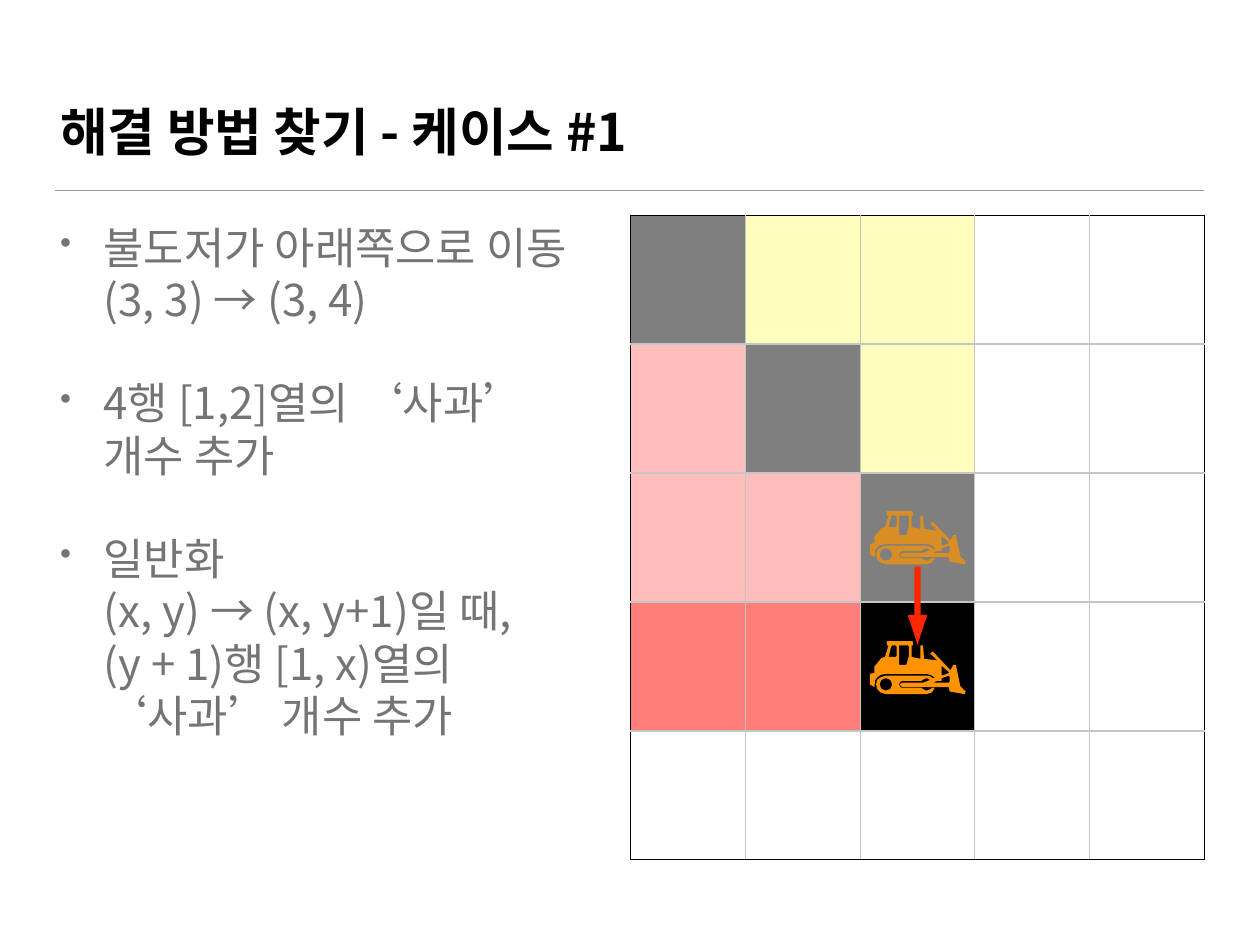
from math import cos, pi, sin
from lxml.etree import SubElement
from pptx import Presentation
from pptx.dml.color import RGBColor
from pptx.enum.shapes import MSO_CONNECTOR, MSO_SHAPE
from pptx.enum.text import MSO_ANCHOR
from pptx.oxml.ns import qn
from pptx.util import Inches, Pt

FONT = "Noto Sans CJK KR"
BLACK = RGBColor(0x00, 0x00, 0x00)
GRAY = RGBColor(0x74, 0x74, 0x74)
RULE = RGBColor(0x9A, 0x9A, 0x9A)
GRID = RGBColor(0xC4, 0xC6, 0xC6)
YELLOW = RGBColor(0xFF, 0xFC, 0x79)
PINK = RGBColor(0xFF, 0x7E, 0x79)
ORANGE = RGBColor(0xFF, 0x93, 0x00)
RED = RGBColor(0xFF, 0x26, 0x00)

TITLE = "해결 방법 찾기 - 케이스 #1"
STEPS = [
    "불도저가 아래쪽으로 이동\v(3, 3) → (3, 4)",
    "4행 [1,2]열의 ‘사과’\v개수 추가",
    "일반화\v(x, y) → (x, y+1)일 때,\v(y + 1)행 [1, x)열의\v‘사과’ 개수 추가",
]

SIZE = 5
FILLS = {"K": (BLACK, 50), "Y": (YELLOW, 50), "P": (PINK, 50),
         "p": (PINK, 100), "k": (BLACK, 100)}
FIELD = ["KYY..", "PKY..", "PPK..", "ppk..", "....."]

# Bulldozer contours, in hundredths of an inch
BODY = [
    (19, 0), (19, 5), (21, 5), (17, 18), (13, 19), (5, 29), (5, 36), (0, 37),
    (0, 49), (5, 52), (6, 44), (9, 40), (13, 38), (18, 37), (64, 37), (70, 39),
    (74, 42), (71, 42), (68, 40), (64, 39), (18, 39), (12, 41), (8, 44), (7, 49),
    (8, 54), (12, 58), (18, 60), (64, 60), (70, 58), (73, 53), (70, 53), (67, 55),
    (64, 56), (61, 55), (58, 53), (37, 53), (34, 52), (33, 49), (34, 46), (37, 45),
    (58, 45), (61, 43), (64, 42), (68, 44), (60, 47), (37, 47), (35, 48), (34, 49),
    (35, 51), (37, 52), (89, 52), (90, 57), (107, 60), (108, 57), (102, 51),
    (97, 27), (94, 27), (91, 33), (71, 12), (68, 14), (76, 22), (61, 20), (60, 5),
    (57, 5), (57, 20), (47, 18), (47, 5), (49, 5), (48, 0),
]
DOOR = [(33, 5), (43, 5), (44, 6), (44, 17), (41, 27), (33, 27)]
PANE = [(25, 5), (29, 5), (30, 6), (30, 17), (29, 18), (21, 18), (24, 6)]
BRACE = [(81, 28), (89, 35), (89, 36), (82, 39), (81, 38)]
ARM = [(89, 39), (90, 40), (90, 46), (89, 47), (71, 47), (76, 45), (81, 45), (81, 42)]
WHEEL = [(round(18 + 7 * cos(k * pi / 8)), round(49 + 7 * sin(k * pi / 8)))
         for k in range(16)]


def fade(part, share):
    """Make the colours inside an XML part see-through."""
    if share < 100:
        for tint in list(part.iter(qn("a:srgbClr"))):
            SubElement(tint, qn("a:alpha"), val=str(share * 1000))


def paint(shape, color):
    shape.shadow.inherit = False
    shape.fill.solid()
    shape.fill.fore_color.rgb = color
    shape.line.fill.background()


def add_text(slide, box, lines, size, color, bold=False):
    frame = slide.shapes.add_textbox(*map(Inches, box)).text_frame
    frame.word_wrap = True
    frame.margin_left = frame.margin_right = Inches(0.06)
    frame.margin_top = frame.margin_bottom = Inches(0.06)
    for i, line in enumerate(lines):
        para = frame.paragraphs[0] if i == 0 else frame.add_paragraph()
        para.text = line
        for run in para.runs:
            font = run.font
            font.name, font.size, font.bold = FONT, Pt(size), bold
            font.color.rgb = color
    return frame


def add_head(slide, box):
    left, top, width, height = box
    frame = add_text(slide, box, [TITLE], 42, BLACK, True)
    frame.vertical_anchor = MSO_ANCHOR.BOTTOM
    y = Inches(top + height + 0.26)
    rule = slide.shapes.add_connector(
        MSO_CONNECTOR.STRAIGHT, Inches(left), y, Inches(left + width), y)
    rule.line.color.rgb = RULE
    rule.line.width = Pt(1)
    SubElement(rule._element.spPr, qn("a:effectLst"))


def add_steps(slide, box):
    frame = add_text(slide, box, STEPS, 35.6, GRAY)
    for i, para in enumerate(frame.paragraphs):
        para.space_before = Pt(41 if i else 0)
        props = para._p.get_or_add_pPr()
        props.set("marL", str(Inches(0.49)))
        props.set("indent", str(Inches(-0.49)))
        SubElement(props, qn("a:buSzPct"), val="75000")
        SubElement(props, qn("a:buChar"), char="•")


def edge_cell(cell, row, col):
    """Draw black lines on the rim of the field and grey ones inside."""
    props = cell._tc.get_or_add_tcPr()
    last = SIZE - 1
    sides = [("L", col == 0, 1), ("R", col == last, 1),
             ("T", row == 0, 2), ("B", row == last, 2)]
    for i, (side, rim, width) in enumerate(sides):
        line = SubElement(props, qn("a:ln" + side), w=str(Pt(1 if rim else width)))
        fill = SubElement(line, qn("a:solidFill"))
        SubElement(fill, qn("a:srgbClr"), val=str(BLACK if rim else GRID))
        props.insert(i, line)


def add_dozer(slide, left, top, share):
    first, *holes = BODY, DOOR, PANE, BRACE, ARM, WHEEL
    pen = slide.shapes.build_freeform(*first[0], scale=Inches(0.01))
    pen.add_line_segments(first[1:], close=True)
    for hole in holes:
        pen.move_to(*hole[0])
        pen.add_line_segments(hole[1:], close=True)
    dozer = pen.convert_to_shape(Inches(left), Inches(top))
    paint(dozer, ORANGE)
    fade(dozer._element.spPr, share)


def add_field(slide, box):
    left, top, width, height = box
    wide, high = width / SIZE, height / SIZE
    table = slide.shapes.add_table(SIZE, SIZE, *map(Inches, box)).table
    table.first_row = table.horz_banding = False
    for row, marks in enumerate(FIELD):
        for col, mark in enumerate(marks):
            cell = table.cell(row, col)
            if mark in FILLS:
                color, share = FILLS[mark]
                cell.fill.solid()
                cell.fill.fore_color.rgb = color
                fade(cell._tc.tcPr, share)
            else:
                cell.fill.background()
            edge_cell(cell, row, col)
    x = left + 2 * wide
    add_dozer(slide, x + 0.11, top + 2 * high + 0.43, 70)
    arrow = slide.shapes.add_shape(
        MSO_SHAPE.DOWN_ARROW, Inches(x + wide / 2 - 0.11),
        Inches(top + 3 * high - 0.4), Inches(0.22), Inches(0.88))
    arrow.adjustments[0], arrow.adjustments[1] = 0.32, 1.52
    paint(arrow, RED)
    add_dozer(slide, x + 0.11, top + 3 * high + 0.44, 100)


def main():
    deck = Presentation()
    deck.slide_width, deck.slide_height = Inches(14.22), Inches(10.67)
    slide = deck.slides.add_slide(deck.slide_layouts[6])
    add_head(slide, (0.62, 0.36, 12.97, 1.53))
    add_steps(slide, (0.62, 2.43, 12.97, 7.29))
    add_field(slide, (7.12, 2.43, 6.47, 7.28))
    deck.save("out.pptx")


if __name__ == "__main__":
    main()
